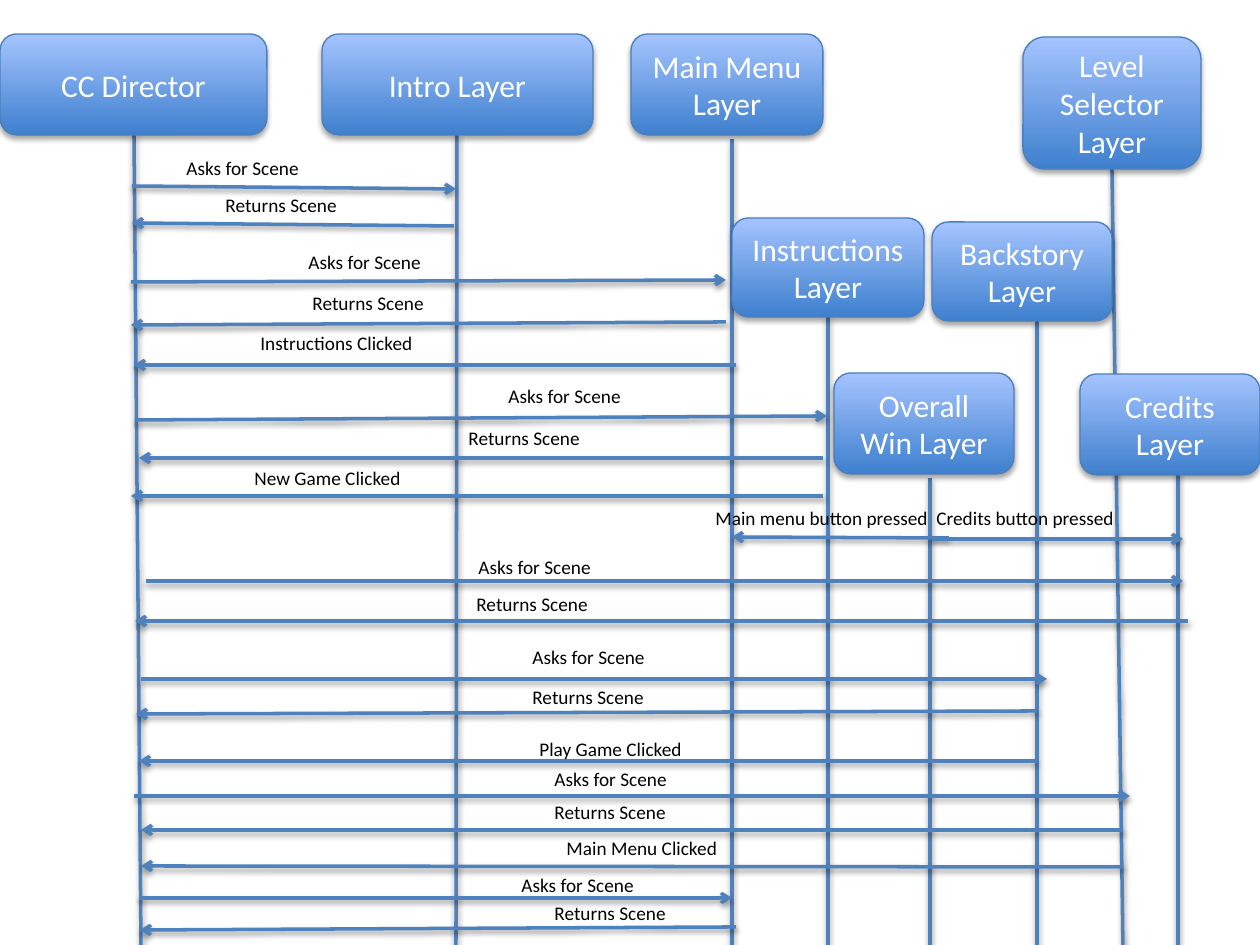
from pptx import Presentation
from pptx.dml.color import RGBColor
from pptx.enum.shapes import MSO_CONNECTOR, MSO_SHAPE
from pptx.enum.text import MSO_ANCHOR, MSO_AUTO_SIZE, PP_ALIGN
from pptx.oxml import parse_xml
from pptx.oxml.ns import nsdecls
from pptx.util import Pt

PX = 914400 // 126
WIDE, HIGH = 1260, 945
DARK = RGBColor(0x3F, 0x80, 0xCE)
LIGHT = RGBColor(0xA4, 0xC4, 0xFF)
EDGE = RGBColor(0x4B, 0x7E, 0xBC)
BLUE = RGBColor(0x4F, 0x81, 0xBD)
WHITE = RGBColor(0xFF, 0xFF, 0xFF)
BLACK = RGBColor(0, 0, 0)
FONT = "Calibri"
ASK, BACK = "Asks for Scene", "Returns Scene"

# name, box, lifeline top x, top y, bottom x
LAYERS = [
    ("CC Director", (0, 34, 267, 101), (134, 135, 141)),
    ("Intro Layer", (322, 34, 271, 101), (457, 135, 456)),
    ("Main Menu Layer", (631, 34, 192, 101), (732, 139, 732)),
    ("Level Selector Layer", (1023, 37, 178, 132), (1112, 169, 1123)),
    ("Instructions Layer", (732, 218, 192, 99), (828, 317, 828)),
    ("Backstory\nLayer", (932, 222, 180, 99), (1037, 321, 1037)),
    ("Overall Win Layer", (834, 373, 180, 101), (930, 478, 930)),
    ("Credits Layer", (1080, 374, 180, 101), (1178, 472, 1178)),
]

# wording, label left, top, width, arrow ends
CALLS = [
    (ASK, (174, 150, 207), (132, 186, 456, 189)),
    (BACK, (213, 187, 207), (454, 226, 132, 223)),
    (ASK, (296, 244, 261), (131, 282, 726, 280)),
    (BACK, (300, 285, 207), (726, 322, 131, 325)),
    ("Instructions Clicked", (248, 325, 207), (736, 365, 134, 365)),
    (ASK, (496, 378, 247), (136, 420, 827, 416)),
    (BACK, (456, 420, 207), (823, 458, 139, 458)),
    ("New Game Clicked", (242, 460, 207), (823, 496, 131, 496)),
    ("Main menu button pressed", (703, 500, 247), (949, 538, 732, 537)),
    ("Credits button pressed", (924, 500, 247), (932, 539, 1183, 539)),
    (ASK, (466, 549, 261), (146, 581, 1183, 581)),
    (BACK, (464, 586, 207), (1188, 621, 135, 621)),
    (ASK, (520, 639, 247), (141, 679, 1047, 679)),
    (BACK, (520, 679, 207), (1037, 711, 136, 714)),
    ("Play Game Clicked", (527, 731, 207), (1037, 761, 139, 761)),
    (ASK, (542, 761, 247), (134, 796, 1130, 796)),
    (BACK, (542, 794, 207), (1123, 830, 141, 830)),
    ("Main Menu Clicked", (554, 830, 207), (1123, 867, 141, 866)),
    (ASK, (509, 867, 247), (139, 898, 732, 898)),
    (BACK, (542, 895, 207), (736, 927, 140, 930)),
]


def scale(vals):
    return [v * PX for v in vals]


def shade(item, dist, alpha):
    item._element.spPr.append(parse_xml(
        f'<a:effectLst {nsdecls("a")}><a:outerShdw blurRad="{Pt(3.1)}" '
        f'dist="{Pt(dist)}" dir="5400000" rotWithShape="0">'
        f'<a:srgbClr val="000000"><a:alpha val="{alpha}000"/></a:srgbClr>'
        '</a:outerShdw></a:effectLst>'))


def style(frame, size, color, align):
    for par in frame.paragraphs:
        par.alignment = align
        for run in par.runs:
            run.font.name = FONT
            run.font.size = Pt(size)
            run.font.color.rgb = color


def draw_line(ends, arrow=False):
    line = shapes.add_connector(MSO_CONNECTOR.STRAIGHT, *scale(ends))
    line.line.color.rgb = BLUE
    line.line.width = Pt(2)
    if arrow:
        line.line._get_or_add_ln().append(
            parse_xml(f'<a:tailEnd {nsdecls("a")} type="arrow"/>'))
    shade(line, 1.6, 38)


def draw_box(name, area):
    box = shapes.add_shape(MSO_SHAPE.ROUNDED_RECTANGLE, *scale(area))
    box.fill.gradient()
    box.fill.gradient_angle = 90
    for stop, color in zip(box.fill.gradient_stops, (DARK, LIGHT)):
        stop.color.rgb = color
    box.line.color.rgb = EDGE
    box.line.width = Pt(0.75)
    shade(box, 1.8, 35)
    frame = box.text_frame
    frame.text = name
    frame.word_wrap = True
    frame.vertical_anchor = MSO_ANCHOR.MIDDLE
    style(frame, 18, WHITE, PP_ALIGN.CENTER)


def draw_label(text, left, top, width):
    frame = shapes.add_textbox(*scale((left, top, width, 36))).text_frame
    frame.text = text
    frame.word_wrap = True
    frame.auto_size = MSO_AUTO_SIZE.SHAPE_TO_FIT_TEXT
    style(frame, 11, BLACK, PP_ALIGN.LEFT)


deck = Presentation()
deck.slide_width, deck.slide_height = scale((WIDE, HIGH))
shapes = deck.slides.add_slide(deck.slide_layouts[6]).shapes

for name, area, (top_x, top_y, end_x) in LAYERS:
    draw_line((top_x, top_y, end_x, HIGH))
for name, area, life in LAYERS:
    draw_box(name, area)
for text, spot, ends in CALLS:
    draw_line(ends, arrow=True)
    draw_label(text, *spot)

deck.save("out.pptx")
